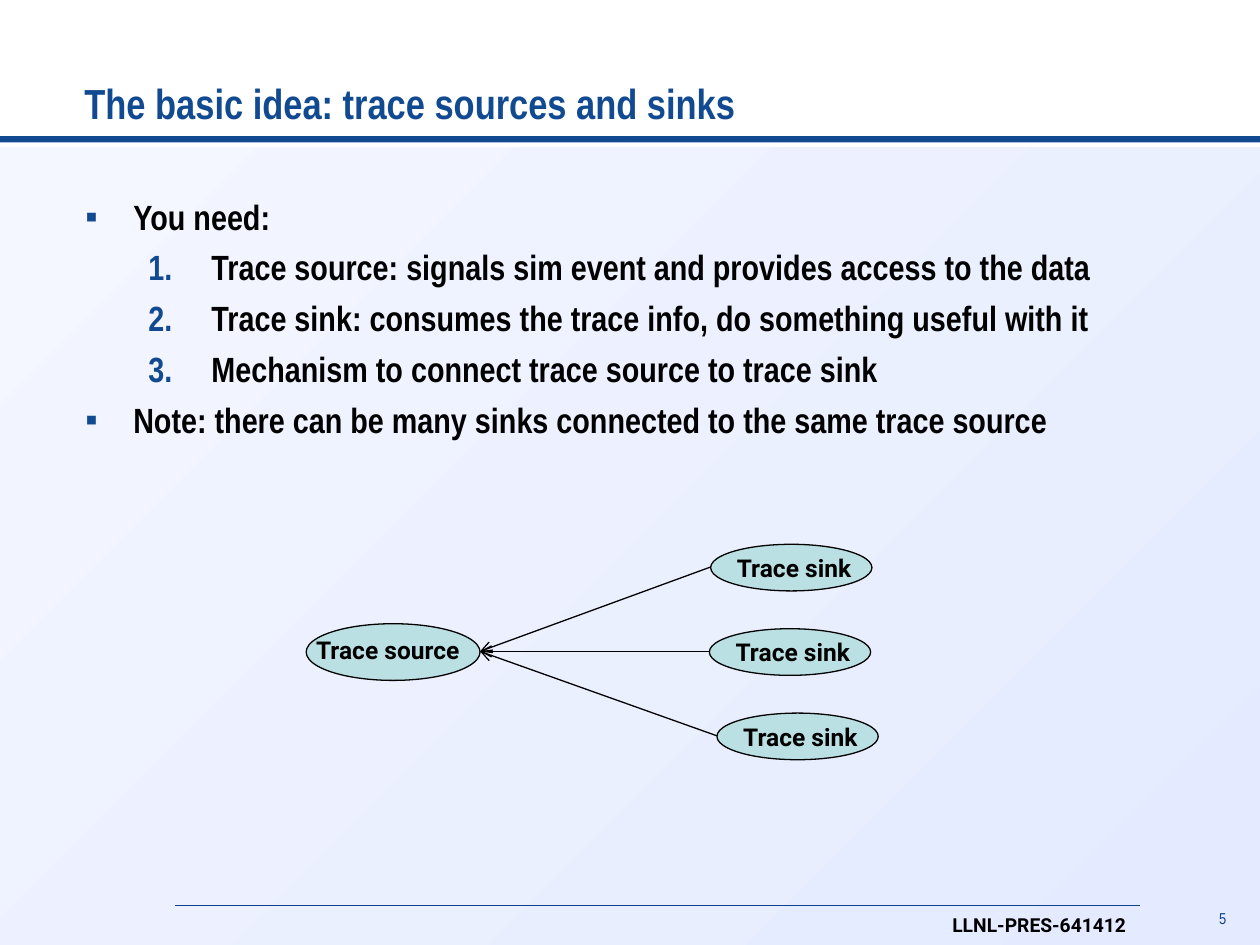
from lxml.etree import SubElement
from pptx import Presentation
from pptx.dml.color import RGBColor
from pptx.enum.shapes import MSO_CONNECTOR, MSO_SHAPE
from pptx.enum.text import MSO_ANCHOR, PP_ALIGN
from pptx.oxml.ns import qn
from pptx.util import Inches, Pt

BLACK = RGBColor(0x00, 0x00, 0x00)
NAVY = RGBColor(0x12, 0x4A, 0x91)
FOOTER_BLUE = RGBColor(0x10, 0x42, 0x8C)
PALE_TOP = RGBColor(0xF4, 0xF7, 0xFF)
PALE_BOTTOM = RGBColor(0xE4, 0xEA, 0xFF)
TEAL = RGBColor(0xBB, 0xE0, 0xE3)

HEADING_FONT = "Arial Narrow"
LABEL_FONT = "Roboto"

POINTS = [
    (0, "You need:"),
    (1, "Trace source: signals sim event and provides access to the data"),
    (1, "Trace sink: consumes the trace info, do something useful with it"),
    (1, "Mechanism to connect trace source to trace sink"),
    (0, "Note: there can be many sinks connected to the same trace source"),
]


def set_font(paragraph, name, size, color, bold=True):
    """Set the font of a whole paragraph."""
    font = paragraph.font
    font.name, font.size, font.bold = name, Pt(size), bold
    font.color.rgb = color


def add_text(slide, box, text, name, size, color, bold=True, wrap=True):
    """Add a one-paragraph text box and return its frame."""
    frame = slide.shapes.add_textbox(*map(Inches, box)).text_frame
    frame.word_wrap = wrap
    frame.text = text
    set_font(frame.paragraphs[0], name, size, color, bold)
    return frame


def add_filled(slide, preset, box, color):
    """Add a plain preset shape without outline or shadow."""
    shape = slide.shapes.add_shape(preset, *map(Inches, box))
    shape.shadow.inherit = False
    shape.fill.solid()
    shape.fill.fore_color.rgb = color
    shape.line.fill.background()
    return shape


def add_line(slide, start, end, color, width, arrow=False):
    """Add a straight line, with an open arrowhead at its end if asked."""
    line = slide.shapes.add_connector(
        MSO_CONNECTOR.STRAIGHT, *map(Inches, (*start, *end)))
    line.line.color.rgb = color
    line.line.width = Pt(width)
    properties = line._element.spPr
    if arrow:
        SubElement(properties.find(qn("a:ln")), qn("a:tailEnd"), type="arrow")
    SubElement(properties, qn("a:effectLst"))


def add_backdrop(slide, left, top, width, height):
    """Draw the tinted page area and the rule above it."""
    tint = add_filled(slide, MSO_SHAPE.RECTANGLE, (left, top, width, height), PALE_TOP)
    tint.fill.gradient()
    tint.fill.gradient_angle = 315
    for stop, color, position in zip(
            tint.fill.gradient_stops, (PALE_TOP, PALE_BOTTOM), (0, 1)):
        stop.color.rgb = color
        stop.position = position
    half = width / 2
    for side in range(2):
        add_filled(slide, MSO_SHAPE.RECTANGLE,
                   (left + side * half, top - 0.09, half, 0.05), NAVY)


def add_footer(slide, left, top, width):
    """Draw the footer rule, the document number and the page number."""
    right = left + width
    add_line(slide, (left, top), (right, top), FOOTER_BLUE, 0.5)
    page = add_text(slide, (right + 0.44, top + 0.01, 0.34, 0.22), "5",
                    HEADING_FONT, 9, FOOTER_BLUE, bold=False)
    page.margin_left = 0
    page.paragraphs[0].alignment = PP_ALIGN.RIGHT
    page.paragraphs[0].line_spacing = 0.75
    add_text(slide, (right - 1.59, top + 0.01, 1.63, 0.29), "LLNL-PRES-641412",
             LABEL_FONT, 11, BLACK, wrap=False)


def add_title(slide, *box):
    """Write the slide title at the foot of its box."""
    frame = add_text(slide, box, "The basic idea: trace sources and sinks",
                     HEADING_FONT, 24, NAVY)
    frame.margin_left = 0
    frame.vertical_anchor = MSO_ANCHOR.BOTTOM


def add_bullet(paragraph, level):
    """Give a paragraph a square bullet, or a number on the second level."""
    margin, hang = ((0.38, 0.38), (1, 0.5))[level]
    paragraph.level = level
    properties = paragraph._p.get_or_add_pPr()
    properties.set("marL", str(Inches(margin)))
    properties.set("indent", str(-Inches(hang)))
    color = SubElement(properties, qn("a:buClr"))
    SubElement(color, qn("a:srgbClr"), val=str(NAVY))
    if level:
        SubElement(properties, qn("a:buFont"), typeface="+mj-lt")
        SubElement(properties, qn("a:buAutoNum"), type="arabicPeriod")
    else:
        SubElement(properties, qn("a:buFont"), typeface="Arial")
        SubElement(properties, qn("a:buChar"), char="▪")


def add_points(slide, *box):
    """Write the bulleted and numbered points."""
    frame = slide.shapes.add_textbox(*map(Inches, box)).text_frame
    frame.word_wrap = True
    for index, (level, text) in enumerate(POINTS):
        point = frame.paragraphs[0] if index == 0 else frame.add_paragraph()
        point.text = text
        add_bullet(point, level)
        if index:
            point.space_before = Pt(5)
        set_font(point, HEADING_FONT, 20, BLACK)


def add_node(slide, box, text, label_box):
    """Draw an outlined ellipse with its label."""
    ellipse = add_filled(slide, MSO_SHAPE.OVAL, box, TEAL)
    ellipse.line.color.rgb = BLACK
    ellipse.line.width = Pt(0.75)
    add_text(slide, label_box, text, LABEL_FONT, 14, BLACK, wrap=False)


def add_trace_diagram(slide, left, top):
    """Draw three trace sinks pointing at one trace source."""
    source_y = top + 0.63
    source_tip = (left + 1.38, source_y + 0.22)
    add_node(slide, (left, source_y, 1.38, 0.45), "Trace source",
             (left - 0.02, source_y + 0.04, 1.42, 0.34))
    for row, offset in enumerate((3.21, 3.2, 3.26)):
        sink_x, sink_y = left + offset, top + row * 0.67
        add_node(slide, (sink_x, sink_y, 1.28, 0.37), "Trace sink",
                 (sink_x + 0.11, sink_y + 0.02, 1.17, 0.34))
        add_line(slide, (sink_x, sink_y + 0.18), source_tip, BLACK, 0.75, arrow=True)


def main():
    """Build the slide and save it."""
    deck = Presentation()
    deck.slide_width, deck.slide_height = Inches(10), Inches(7.5)
    slide = deck.slides.add_slide(deck.slide_layouts[6])
    add_backdrop(slide, 0, 1.17, 10, 6.33)
    add_footer(slide, 1.39, 7.19, 7.66)
    add_title(slide, 0.67, 0.17, 8.69, 0.89)
    add_points(slide, 0.58, 1.5, 8.83, 5.17)
    add_trace_diagram(slide, 2.43, 4.32)
    deck.save("out.pptx")


if __name__ == "__main__":
    main()
